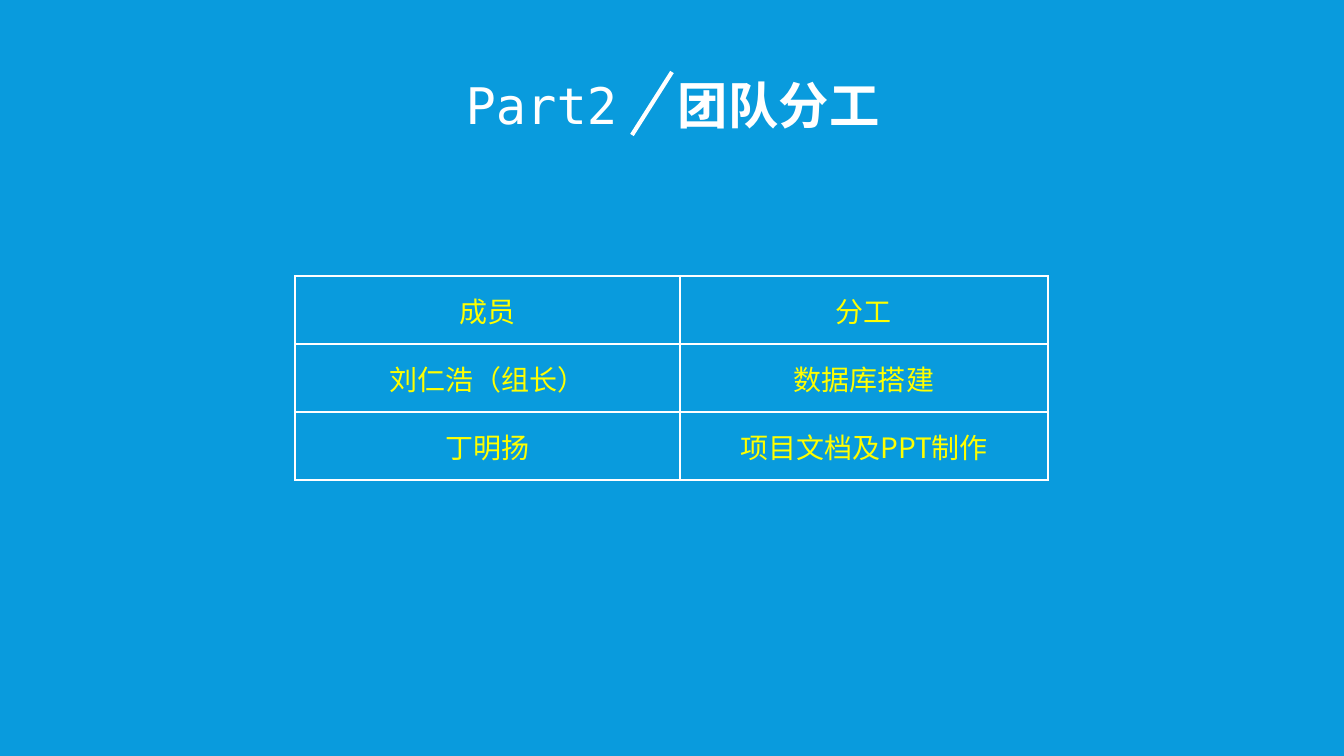
import pptx
import pptx.util
import pptx.dml.color
import pptx.enum.shapes
import pptx.enum.text
import pptx.oxml
import pptx.oxml.ns
import lxml.etree

PX = 12192000 / 1344
BLUE, WHITE, YELLOW = "099BDD", "FFFFFF", "FFFF00"
MONO, CJK = "DejaVu Sans Mono", "Noto Sans CJK SC"
qn = pptx.oxml.ns.qn


def px(*values):
    return [round(v * PX) for v in values]


def add_text(p, text, size, color, font, bold=False, spacing=0, outline=0):
    p.alignment = pptx.enum.text.PP_ALIGN.CENTER
    r = p.add_run()
    r.text = text
    r.font.size = pptx.util.Pt(size)
    r.font.bold = bold
    r.font.name = font
    r.font.color.rgb = pptx.dml.color.RGBColor.from_string(color)
    rPr = r._r.get_or_add_rPr()
    lxml.etree.SubElement(rPr, qn("a:ea")).set("typeface", CJK)
    if spacing:
        rPr.set("spc", str(round(spacing * 100)))
    if outline:
        ln = lxml.etree.Element(qn("a:ln"), w=str(pptx.util.Pt(outline)))
        fill = lxml.etree.SubElement(ln, qn("a:solidFill"))
        lxml.etree.SubElement(fill, qn("a:srgbClr"), val=color)
        rPr.insert(0, ln)


prs = pptx.Presentation()
prs.slide_width, prs.slide_height = px(1344, 756)
s = prs.slides.add_slide(prs.slide_layouts[6])
s.background.fill.solid()
s.background.fill.fore_color.rgb = pptx.dml.color.RGBColor.from_string(BLUE)

tf = s.shapes.add_textbox(*px(329, 69, 687, 72)).text_frame
tf.word_wrap = True
tf.auto_size = pptx.enum.text.MSO_AUTO_SIZE.SHAPE_TO_FIT_TEXT
p = tf.paragraphs[0]
add_text(p, "Part2", 36, WHITE, MONO)
add_text(p, " ", 36, WHITE, MONO, spacing=21.67)
add_text(p, "团队分工", 36, WHITE, MONO, bold=True)

slash = s.shapes.add_connector(pptx.enum.shapes.MSO_CONNECTOR.STRAIGHT, *px(672, 72, 632, 135))
slash.line.color.rgb = pptx.dml.color.RGBColor.from_string(WHITE)
slash.line.width = pptx.util.Pt(3)
lxml.etree.SubElement(slash._element.spPr, qn("a:effectLst"))

rows = [
    ("成员", "分工"),
    ("刘仁浩（组长）", "数据库搭建"),
    ("丁明扬", "项目文档及PPT制作"),
]
table = s.shapes.add_table(3, 2, *px(295, 276, 753, 204)).table
for column, width in zip(table.columns, px(385, 368)):
    column.width = width
for row, texts in zip(table.rows, rows):
    row.height = px(68)[0]
    for cell, text in zip(row.cells, texts):
        cell.vertical_anchor = pptx.enum.text.MSO_ANCHOR.MIDDLE
        add_text(cell.text_frame.paragraphs[0], text, 20, YELLOW, CJK, outline=0.75)
        tcPr = cell._tc.get_or_add_tcPr()
        for side in ("lnL", "lnR", "lnT", "lnB"):
            ln = lxml.etree.SubElement(tcPr, qn("a:" + side), w=str(pptx.util.Pt(1)))
            fill = lxml.etree.SubElement(ln, qn("a:solidFill"))
            lxml.etree.SubElement(fill, qn("a:srgbClr"), val=WHITE)
        cell.fill.solid()
        cell.fill.fore_color.rgb = pptx.dml.color.RGBColor.from_string(BLUE)

prs.save("out.pptx")
